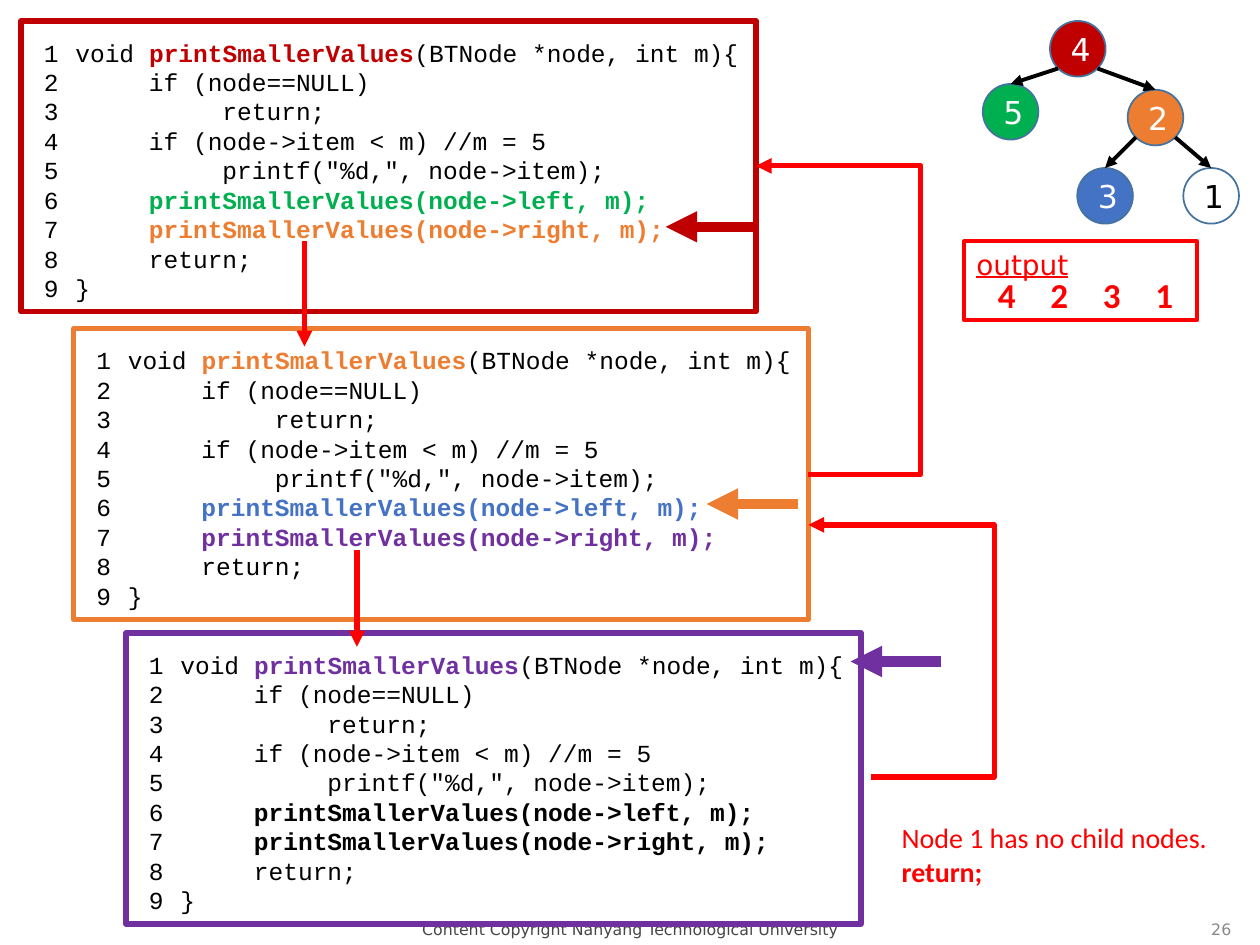
from math import sqrt
from pptx import Presentation
from pptx.dml.color import RGBColor
from pptx.enum.shapes import MSO_CONNECTOR as MC, MSO_SHAPE as MS
from pptx.enum.text import MSO_ANCHOR as MA, PP_ALIGN as PA
from pptx.oxml.ns import qn
from pptx.util import Inches, Pt
from lxml.etree import SubElement

BLACK = RGBColor(0x00, 0x00, 0x00)
WHITE = RGBColor(0xFF, 0xFF, 0xFF)
RED = RGBColor(0xFF, 0x00, 0x00)
DARK_RED = RGBColor(0xC0, 0x00, 0x00)
GREEN = RGBColor(0x00, 0xB0, 0x50)
ORANGE = RGBColor(0xED, 0x7D, 0x31)
BLUE = RGBColor(0x44, 0x72, 0xC4)
PURPLE = RGBColor(0x70, 0x30, 0xA0)
NODE_LINE = RGBColor(0x43, 0x73, 0x9E)
FOOTER = RGBColor(0x47, 0x47, 0x47)
PAGE_NO = RGBColor(0x89, 0x89, 0x89)

COLS, ROWS = 120, 90
CODE, SANS, BODY = "Courier New", "DejaVu Sans", "Calibri"
NODE = 5.3


def u(n):
    return Inches(n / 12)


def add_run(p, text, font=SANS, size=16, color=BLACK, bold=False, underline=False):
    r = p.add_run()
    r.text = text
    r.font.name = font
    r.font.size = Pt(size)
    r.font.color.rgb = color
    r.font.bold = bold
    r.font.underline = underline


def write(tf, lines, align=PA.LEFT, anchor=MA.TOP, wrap=True, **fmt):
    tf.word_wrap = wrap
    tf.vertical_anchor = anchor
    for i, line in enumerate(lines):
        p = tf.paragraphs[0] if i == 0 else tf.add_paragraph()
        p.alignment = align
        for text, extra in line:
            add_run(p, text, **{**fmt, **extra})


def plain(*lines):
    return [[(line, {})] for line in lines]


def add_text(s, box, lines, **fmt):
    write(s.shapes.add_textbox(*map(u, box)).text_frame, lines, **fmt)


def add_box(s, kind, box, fill=None, line=None, width=1):
    sp = s.shapes.add_shape(kind, *map(u, box))
    sp.shadow.inherit = False
    if fill is None:
        sp.fill.background()
    else:
        sp.fill.solid()
        sp.fill.fore_color.rgb = fill
    if line is None:
        sp.line.fill.background()
    else:
        sp.line.color.rgb = line
        sp.line.width = Pt(width)
    return sp


def add_arrow(s, start, end, color, width, via=None):
    kind = MC.STRAIGHT if via is None else MC.ELBOW
    cx = s.shapes.add_connector(kind, *map(u, (*start, *end)))
    cx.line.color.rgb = color
    cx.line.width = Pt(width)
    SubElement(cx.line._get_or_add_ln(), qn("a:tailEnd"), type="triangle")
    sp_pr = cx._element.spPr
    SubElement(sp_pr, qn("a:effectLst"))
    if via is not None:
        share = round((via - start[0]) / (end[0] - start[0]) * 100000)
        guides = sp_pr.find(qn("a:prstGeom")).get_or_add_avLst()
        SubElement(guides, qn("a:gd"), name="adj1", fmla=f"val {share}")


def add_footer(s, x, y, w, h):
    add_text(s, (x + 0.29 * w, y, 0.42 * w, h), plain("Content Copyright Nanyang Technological University"),
             size=9, color=FOOTER, align=PA.CENTER)
    add_text(s, (x + 0.795 * w, y, 0.192 * w, h), plain("26"),
             size=9, color=PAGE_NO, align=PA.RIGHT, anchor=MA.MIDDLE)


def add_tree(s, x, y):
    nodes = {
        "4": (6.4, 0, DARK_RED, WHITE),
        "5": (0, 6, GREEN, WHITE),
        "2": (13.8, 6.55, ORANGE, WHITE),
        "1": (19.1, 14, None, BLACK),
        "3": (9, 14, BLUE, WHITE),
    }
    for label, (dx, dy, fill, color) in nodes.items():
        sp = add_box(s, MS.OVAL, (x + dx, y + dy, NODE, NODE), fill, NODE_LINE)
        write(sp.text_frame, plain(label), size=18, color=color, align=PA.CENTER, anchor=MA.MIDDLE)
    half, reach = NODE / 2, NODE / 2 / sqrt(2)
    for parent, child, side in (("4", "5", -1), ("4", "2", 1), ("2", "3", -1), ("2", "1", 1)):
        px, py = nodes[parent][:2]
        kx, ky = nodes[child][:2]
        add_arrow(s, (x + px + half + side * reach, y + py + half + reach),
                  (x + kx + half, y + ky), BLACK, 2.25)


def add_code(s, x, y, w, h, color, left, right):
    indent = " " * 5
    lines = plain("", "if (node==NULL)", indent + "return;", "if (node->item < m) //m = 5",
                  indent + 'printf("%d,", node->item);', "printSmallerValues(node->left, m);",
                  "printSmallerValues(node->right, m);", "return;", "")
    lines = [[(indent + text, extra) for text, extra in line] for line in lines]
    lines[0] = [("void ", {}), ("printSmallerValues", {"color": color, "bold": True}),
                ("(BTNode *node, int m){", {})]
    for row, tint in ((5, left), (6, right)):
        lines[row] = [(lines[row][0][0], {"color": tint, "bold": True})]
    lines[-1] = [("}", {})]
    numbers = plain(*map(str, range(1, len(lines) + 1)))
    add_text(s, (x + 4, y + 1, w - 4, h - 1), lines, font=CODE, size=14)
    add_text(s, (x + 1, y + 1, 6, h - 1), numbers, font=CODE, size=14)
    add_box(s, MS.RECTANGLE, (x, y, w, h), line=color, width=3)


def add_output(s, x, y, w, h):
    sp = add_box(s, MS.RECTANGLE, (x, y, w, h), WHITE, RED, 2.25)
    write(sp.text_frame, plain("output"), color=RED, underline=True)
    for i, value in enumerate("4231"):
        add_text(s, (x + 2.05 + 5 * i, y + 2.45, 4, 5.3), plain(value),
                 font=BODY, size=20, color=RED, bold=True, wrap=False)


def add_note(s, x, y, w, h):
    sp = add_box(s, MS.RECTANGLE, (x, y, w, h), WHITE)
    write(sp.text_frame, [[("Node 1 has no child nodes.", {})], [("return;", {"bold": True})]],
          font=BODY, color=RED)


def main():
    prs = Presentation()
    prs.slide_width, prs.slide_height = u(COLS), u(ROWS)
    s = prs.slides.add_slide(prs.slide_layouts[6])
    add_footer(s, 0, 87, COLS, 3)
    add_tree(s, 93.6, 2)
    add_output(s, 91.8, 23, 22.2, 7.5)
    calls = [
        (2, DARK_RED, GREEN, ORANGE, (72, 63.4), 21.6),
        (31.3, ORANGE, BLUE, PURPLE, (76, 67.3), 48),
        (60.3, PURPLE, BLACK, BLACK, (89.6, 81), 63),
    ]
    for i, (top, color, left, right, (start, end), row) in enumerate(calls):
        add_code(s, 2 + 5 * i, top, 70, 27.7, color, left, right)
        add_arrow(s, (start, row), (end, row), color, 6)
    for x, top, bottom in ((29, 23, 33), (34, 52.4, 61.6)):
        add_arrow(s, (x, top), (x, bottom), RED, 3)
    add_note(s, 84.7, 77.6, 33, 7.7)
    add_arrow(s, (83, 74), (77, 50), RED, 3, via=94.7)
    add_arrow(s, (77, 45.2), (72, 15.8), RED, 3, via=87.7)
    prs.save("out.pptx")


if __name__ == "__main__":
    main()
